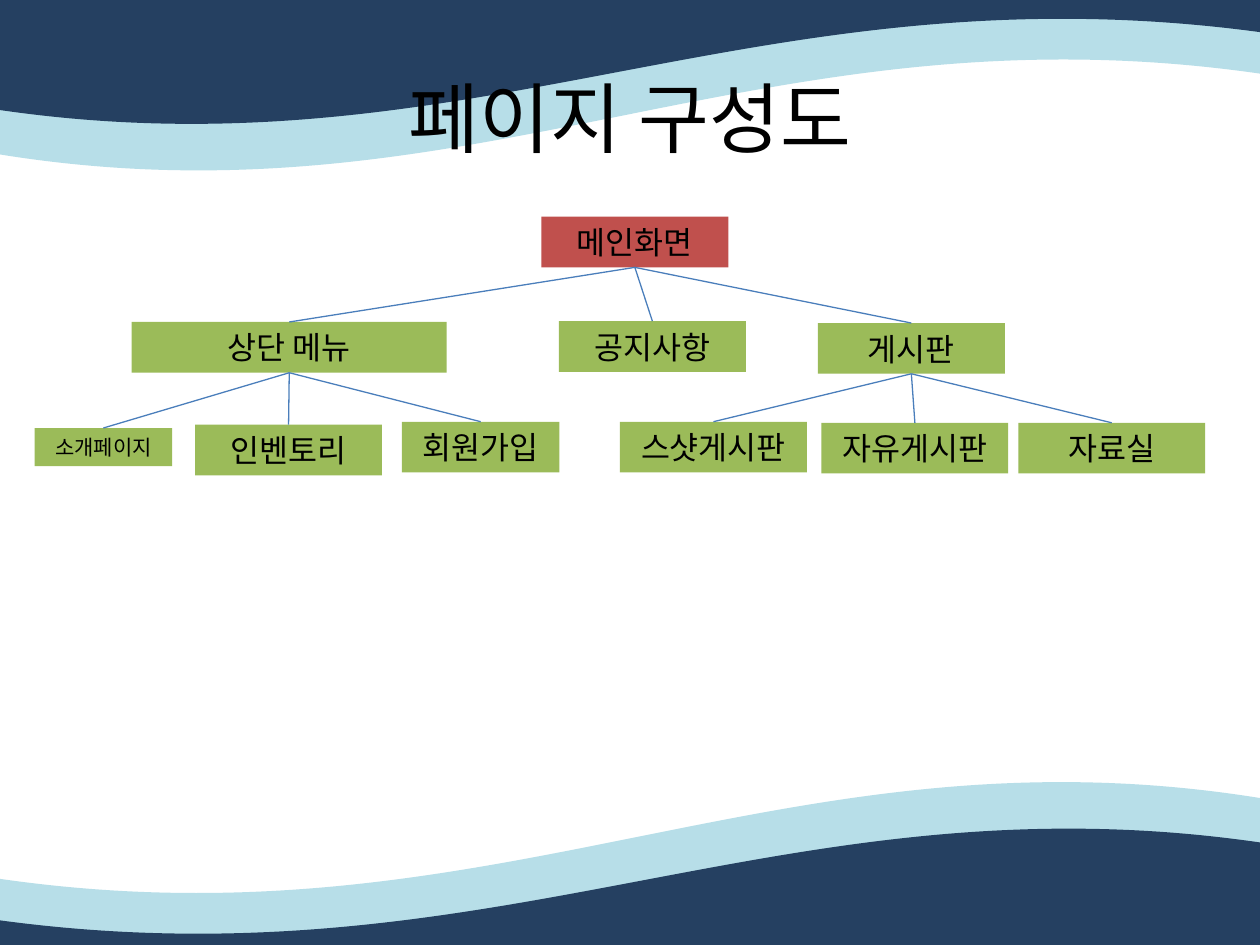
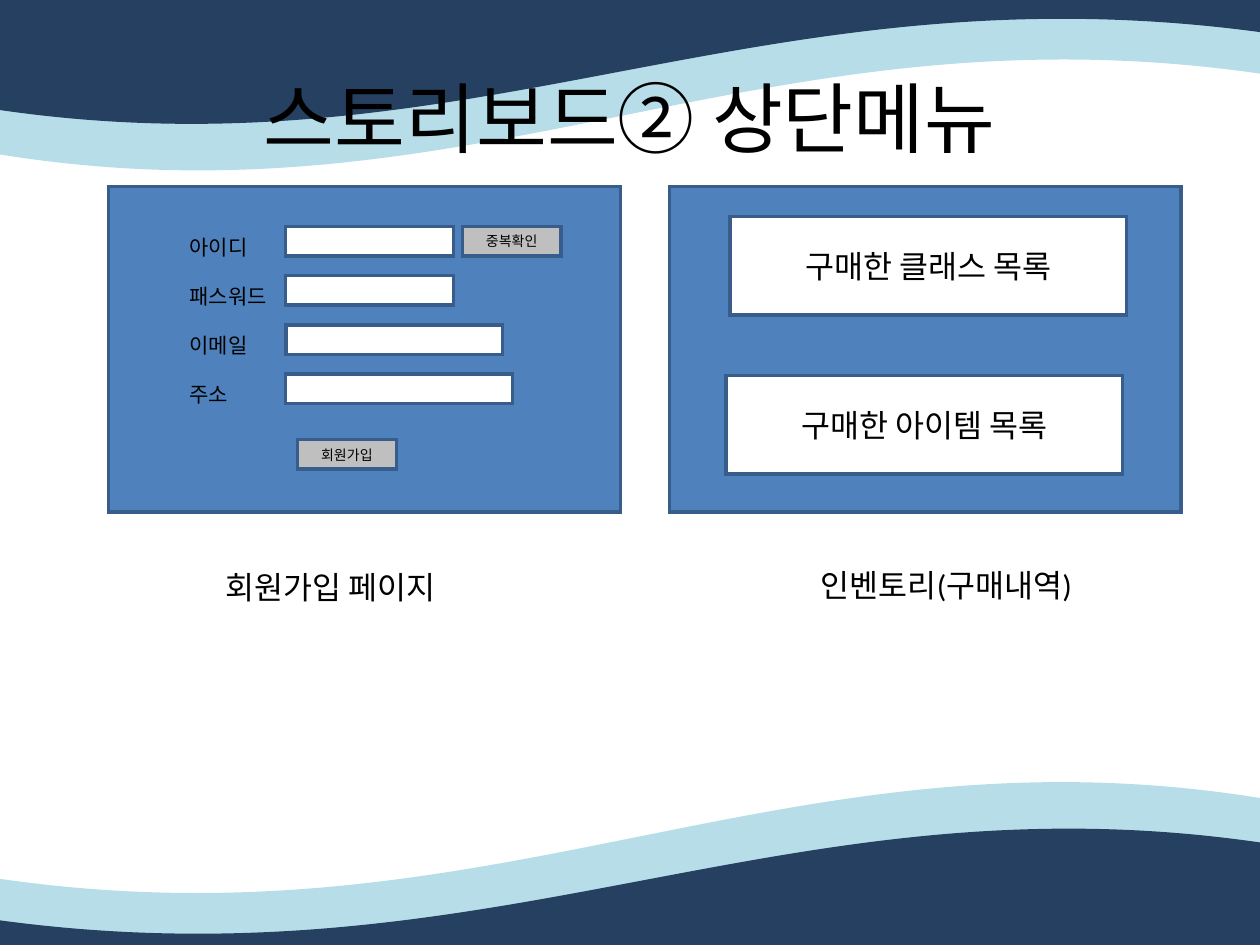
from dataclasses import dataclass

from lxml.etree import SubElement
from pptx import Presentation
from pptx.dml.color import RGBColor as Rgb
from pptx.enum.shapes import MSO_CONNECTOR as Conn, MSO_SHAPE as Kind
from pptx.enum.text import MSO_ANCHOR as Anchor, PP_ALIGN as Align
from pptx.oxml.ns import qn
from pptx.util import Pt


@dataclass(frozen=True)
class Theme:
    dark: str = "254061"
    light: str = "B7DEE8"
    root: str = "C0504D"
    node: str = "9BBB59"
    link: str = "4A7EBB"
    panel: str = "4F81BD"
    edge: str = "385D8A"
    button: str = "BFBFBF"
    white: str = "FFFFFF"
    black: str = "000000"
    face: str = "Calibri"
    head: str = "Noto Sans CJK KR"
    title: int = 44
    body: int = 18
    small: int = 12
    tiny: int = 8
    border: float = 2
    thin: float = 0.75


T = Theme()
WIDE, HIGH = 720, 540

# Content: site map as name, parent, left, top, width
MAP_TITLE = "페이지 구성도"
NODES = [
    ("메인화면", None, 309.4, 123.8, 106.8),
    ("상단 메뉴", "메인화면", 75.3, 184, 180),
    ("공지사항", "메인화면", 319.4, 183.5, 106.8),
    ("게시판", "메인화면", 467.4, 184.6, 106.8),
    ("소개페이지", "상단 메뉴", 19.8, 244.6, 78.6),
    ("인벤토리", "상단 메뉴", 111.5, 242.7, 106.8),
    ("회원가입", "상단 메뉴", 229.7, 241, 90),
    ("스샷게시판", "게시판", 354.3, 241, 106.8),
    ("자유게시판", "게시판", 469.4, 241.6, 106.8),
    ("자료실", "게시판", 581.9, 241.6, 106.8),
]
SMALL = {"소개페이지"}

# Content: storyboard
BOARD_TITLE = "스토리보드② 상단메뉴"
PANELS = [62, 382.5]
FIELDS = [("아이디", 95.8), ("패스워드", 95.8), ("이메일", 123.8), ("주소", 129.6)]
BUTTONS = [("중복확인", 264.2, 129.4), ("회원가입", 170, 251.3)]
LISTS = [("구매한 클래스 목록", 417, 123.8), ("구매한 아이템 목록", 414.7, 214.7)]
CAPTIONS = [("회원가입 페이지", 121.7, 321.1), ("인벤토리(구매내역)", 462, 319.7)]

# Wave bands: colour, top edge, height, Bezier points of the lower edge
WAVES = [
    (T.light, -2.2, 99.4, [(722.9, 42.5), (434.2, 0), (272.2, 133.2), (-2.9, 87.8)]),
    (T.dark, -3.6, 74.9, [(722.2, 18.7), (433.4, -20.9), (271.4, 103), (-2.2, 62.6)]),
]
DROP = 544.3  # sum of the heights of matching points in the two bands


def paint(shape, fill, edge=None):
    shape.shadow.inherit = False
    shape.fill.solid()
    shape.fill.fore_color.rgb = Rgb.from_string(fill)
    if edge:
        shape.line.color.rgb = Rgb.from_string(edge)
        shape.line.width = Pt(T.border)
        SubElement(shape.line._get_or_add_ln(), qn("a:miter"), lim="800000")
    else:
        shape.line.fill.background()


def write(shape, text, size, align=Align.CENTER, anchor=Anchor.MIDDLE, face=T.face):
    frame = shape.text_frame
    frame.word_wrap = True
    frame.vertical_anchor = anchor
    para = frame.paragraphs[0]
    para.alignment = align
    run = para.add_run()
    run.text = text
    font = run.font
    font.name, font.size = face, Pt(size)
    font.color.rgb = Rgb.from_string(T.black)


def box(slide, spot, fill, edge=None, text=None, size=T.body):
    shape = slide.shapes.add_shape(Kind.RECTANGLE, *map(Pt, spot))
    paint(shape, fill, edge)
    if text:
        write(shape, text, size)
    return shape


def label(slide, spot, text, size, **style):
    write(slide.shapes.add_textbox(*map(Pt, spot)), text, size, **style)


def band(slide, fill, top, tall, ends):
    start, *_, stop = ends
    dots = [(stop[0], top), (start[0], top), start, stop]
    first, *rest = [(Pt(x), Pt(y)) for x, y in dots]
    pen = slide.shapes.build_freeform(*first)
    pen.add_line_segments(rest)
    shape = pen.convert_to_shape()
    paint(shape, fill)
    # Bend the lower edge and fit the frame to the bend
    track = next(shape._element.iter(qn("a:path")))
    edge = track.findall(qn("a:lnTo"))[2]
    bend = edge.makeelement(qn("a:cubicBezTo"))
    for x, y in ends[1:]:
        SubElement(bend, qn("a:pt"), x=str(Pt(x) - shape.left), y=str(Pt(y) - shape.top))
    track.replace(edge, bend)
    shape.height = Pt(tall)
    track.set("h", str(shape.height))
    return shape


def waves(slide, layout):
    """Make the bands and hand them to the layout that all slides share."""
    for turned in (True, False):
        for wave in WAVES:
            shape = band(slide, *wave)
            if turned:
                shape.rotation = 180
                shape.left = Pt(WIDE) - shape.left - shape.width
                shape.top = Pt(DROP) - shape.top - shape.height
            layout.shapes._spTree.append(shape._element)


def page(deck, title):
    layout = deck.slide_layouts[6]
    slide = deck.slides.add_slide(layout)
    if len(deck.slides) == 1:
        waves(slide, layout)
    label(slide, (36, 21.6, 648, 90), title, T.title, face=T.head)
    return slide


def site_map(deck):
    slide = page(deck, MAP_TITLE)
    made = {}
    for name, above, left, top, width in NODES:
        tall, size = (21.8, T.small) if name in SMALL else (29, T.body)
        fill = T.node if above else T.root
        made[name] = box(slide, (left, top, width, tall), fill, text=name, size=size)
    # Link each node's top to its parent's bottom
    for name, above, *_ in NODES:
        if above:
            link = slide.shapes.add_connector(Conn.STRAIGHT, 0, 0, 0, 0)
            link.begin_connect(made[above], 2)
            link.end_connect(made[name], 0)
            link.line.color.rgb = Rgb.from_string(T.link)
            link.line.width = Pt(T.thin)
            SubElement(link._element.spPr, qn("a:effectLst"))


def board(deck):
    slide = page(deck, BOARD_TITLE)
    for left in PANELS:
        box(slide, (left, 106.6, 292.5, 186), T.panel, T.edge)
    # Sign-up form
    for row, (name, width) in enumerate(FIELDS):
        top = 129.4 + 28.1 * row
        box(slide, (163.3, top, width, 16.9), T.white, T.edge)
        label(slide, (101.2, top + 0.9, 78.5, 21.8), name, T.small,
              align=Align.LEFT, anchor=Anchor.TOP)
    for name, left, top in BUTTONS:
        box(slide, (left, top, 56.5, 16.9), T.button, T.edge, name, T.tiny)
    # Inventory lists
    for name, left, top in LISTS:
        box(slide, (left, top, 226.8, 56.2), T.white, T.edge, name)
    for name, left, top in CAPTIONS:
        label(slide, (left, top, 198.7, 29), name, T.body,
              align=Align.LEFT, anchor=Anchor.TOP)


def main():
    deck = Presentation()
    deck.slide_width, deck.slide_height = Pt(WIDE), Pt(HIGH)
    site_map(deck)
    board(deck)
    deck.save("out.pptx")


if __name__ == "__main__":
    main()
